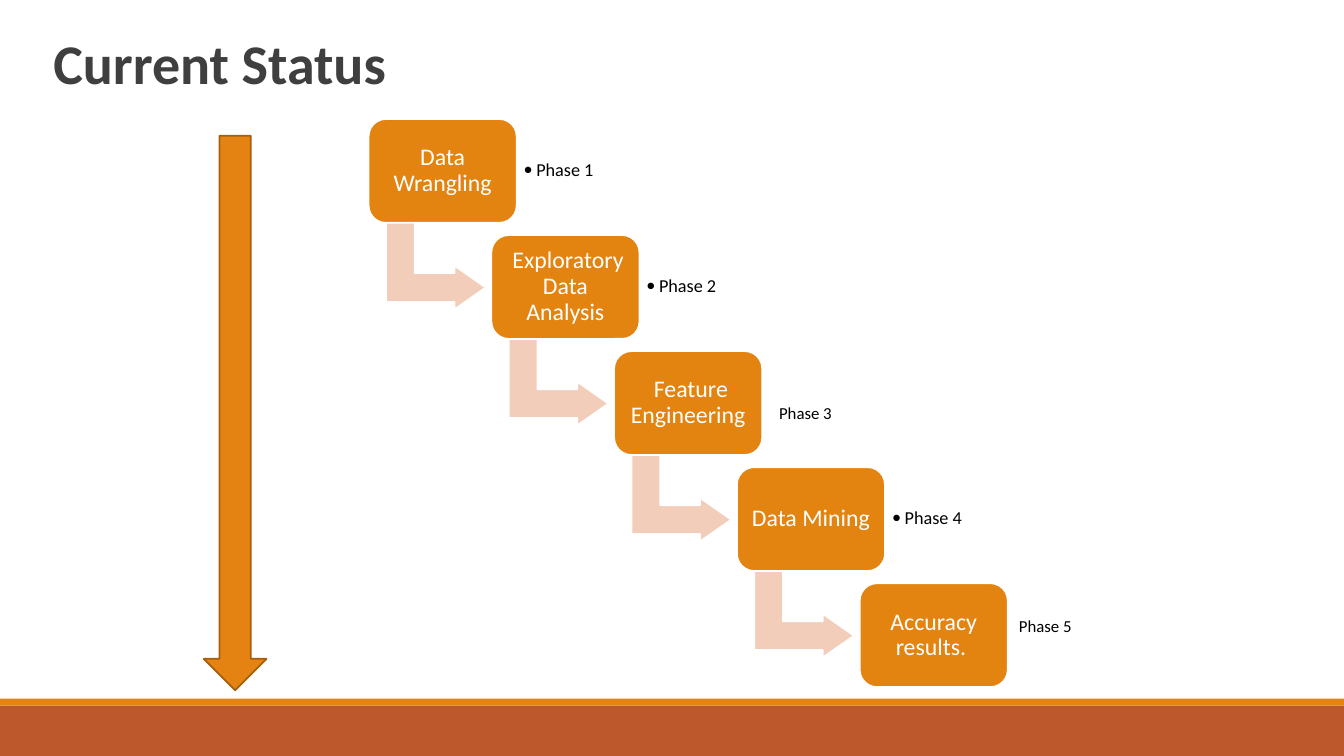
from lxml.etree import SubElement
from pptx import Presentation
from pptx.dml.color import RGBColor
from pptx.enum.shapes import MSO_SHAPE as Preset
from pptx.enum.text import MSO_ANCHOR as Anchor, PP_ALIGN as Align
from pptx.oxml.ns import qn
from pptx.util import Pt


def add_block(preset, left, top, width, height, fill, line=None):
    block = page.shapes.add_shape(preset, Pt(left), Pt(top), Pt(width), Pt(height))
    block.shadow.inherit = False
    block.fill.solid()
    block.fill.fore_color.rgb = RGBColor.from_string(fill)
    if line:
        block.line.color.rgb = RGBColor.from_string(line)
        block.line.width = Pt(1.25)
    else:
        block.line.fill.background()
    return block


def write_text(box, text, size, color, anchor, inset_x, inset_y, spacing=1.0):
    frame = box.text_frame
    frame.word_wrap = True
    frame.vertical_anchor = anchor
    frame.margin_left = frame.margin_right = Pt(inset_x)
    frame.margin_top = frame.margin_bottom = Pt(inset_y)
    para = frame.paragraphs[0]
    para.alignment = Align.LEFT
    para.line_spacing = spacing
    span = para.add_run()
    span.text = text
    span.font.name = "Calibri"
    span.font.size = Pt(size)
    span.font.color.rgb = RGBColor.from_string(color)
    return para


deck = Presentation()
deck.slide_width, deck.slide_height = Pt(960), Pt(540)
page = deck.slides.add_slide(deck.slide_layouts[6])

add_block(Preset.RECTANGLE, 0, 504, 960, 36, "BD582C")
add_block(Preset.RECTANGLE, 0, 499, 960, 5, "E48312")

title = page.shapes.add_textbox(Pt(31), Pt(8.6), Pt(792), Pt(63.4))
heading = write_text(title, "Current Status", 40, "3F3F3F", Anchor.BOTTOM, 7.2, 3.6, 0.85)
heading.runs[0].font.bold = True

steps = ["Data Wrangling", " Exploratory Data Analysis", " Feature Engineering",
         "Data Mining", "Accuracy results. "]
bulleted = [1, 2, 4]
box_width, box_height = 105.8, 74.2

for number, step in enumerate(steps, start=1):
    left = 263.3 + (number - 1) * 87.7
    top = 85 + (number - 1) * 82.9

    if number < len(steps):
        elbow = add_block(Preset.BENT_UP_ARROW, left + 16.7, top + 69.1, 62.6, 71.3,
                          "F2CDBA", "FFFFFF")
        elbow.rotation = 90
        for index, value in enumerate([0.328, 0.25, 0.358]):
            elbow.adjustments[index] = value

    card = add_block(Preset.ROUNDED_RECTANGLE, left, top, box_width, box_height,
                     "E38310", "FFFFFF")
    card.adjustments[0] = 0.167
    para = write_text(card, step, 17, "FFFFFF", Anchor.MIDDLE, 5, 5, 0.9)
    para.alignment = Align.CENTER

    if number in bulleted:
        label = page.shapes.add_textbox(Pt(left + box_width), Pt(top + 7), Pt(77), Pt(59.8))
        para = write_text(label, f"Phase {number}", 13, "000000", Anchor.MIDDLE, 5, 5, 0.9)
        props = para._p.get_or_add_pPr()
        props.set("marL", str(Pt(9)))
        props.set("indent", str(-Pt(9)))
        SubElement(props, qn("a:buFont"), typeface="Calibri")
        SubElement(props, qn("a:buChar"), char="•")

for text, left, top, width in [("Phase 5", 720.7, 436.3, 93.6), ("Phase 3", 549.4, 284.4, 54)]:
    label = page.shapes.add_textbox(Pt(left), Pt(top), Pt(width), Pt(21.8))
    write_text(label, text, 12, "000000", Anchor.TOP, 7.2, 3.6)

add_block(Preset.DOWN_ARROW, 145.6, 97, 44.8, 396, "E48312", "A65F0D")

deck.save("out.pptx")
